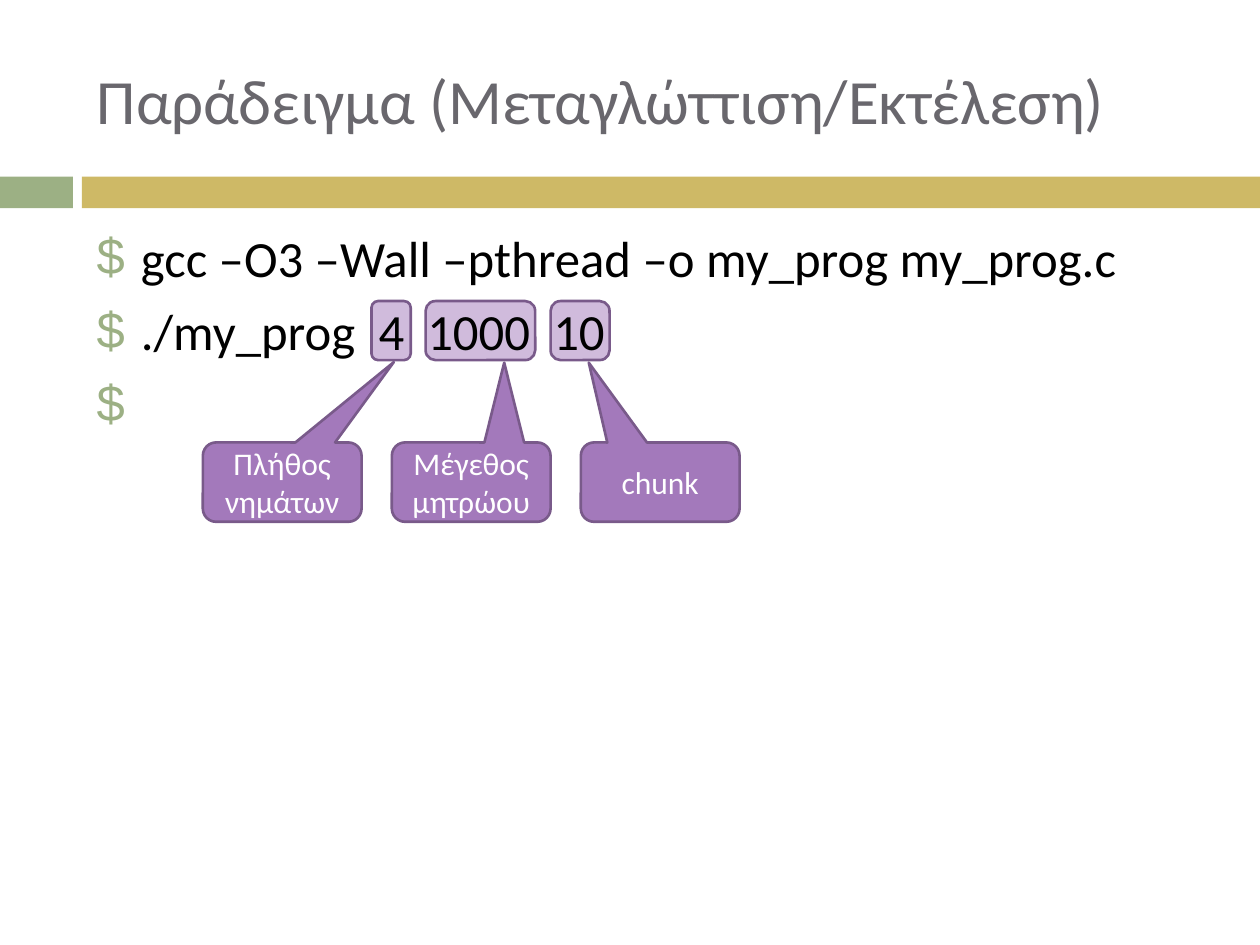
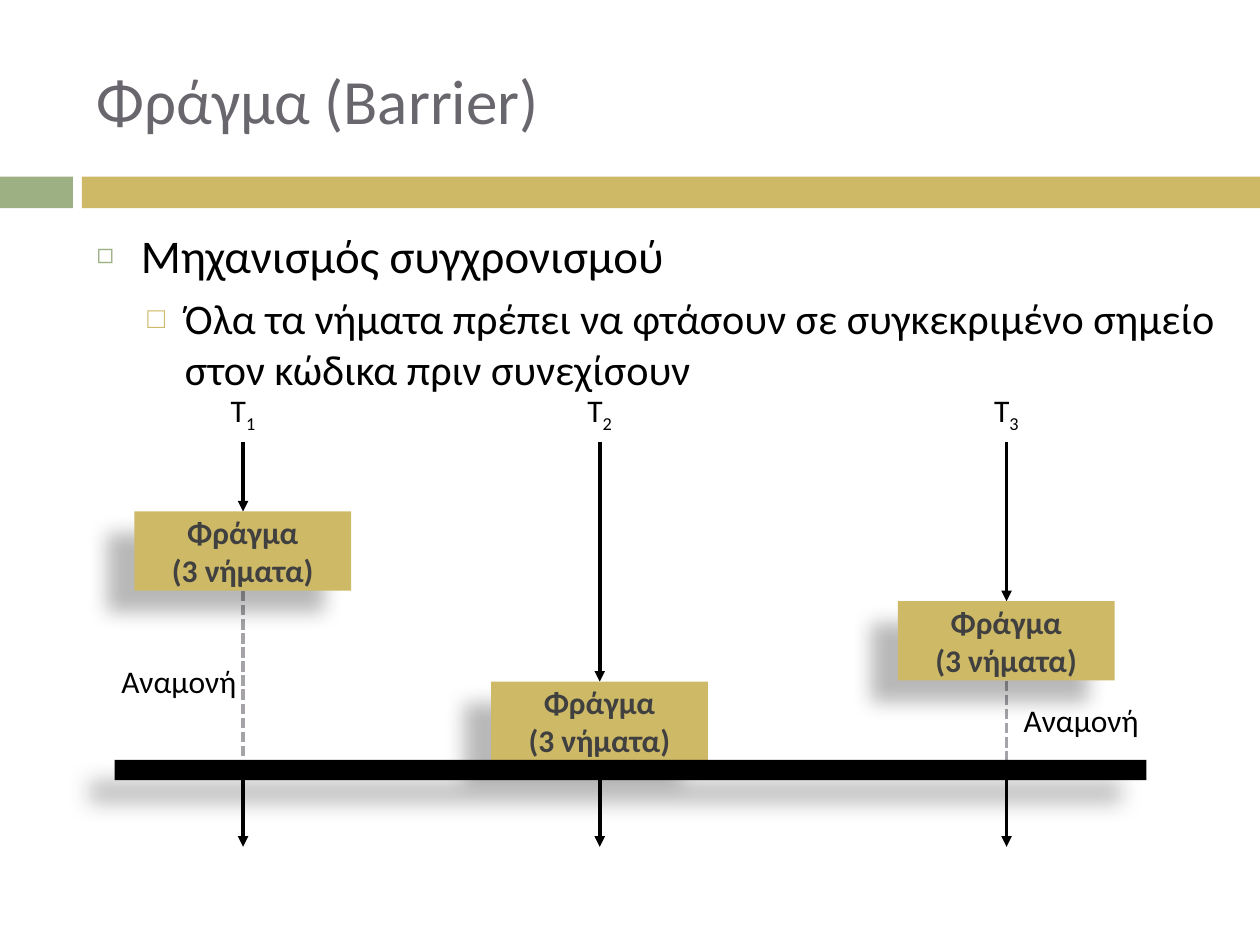
from pptx import Presentation
from pptx import util as u
from pptx.dml.color import RGBColor
from pptx.enum import dml, shapes, text
from pptx.oxml.ns import qn
from lxml import etree

Cm, Pt = u.Cm, u.Pt
SHAPE = shapes.MSO_SHAPE
GREEN = RGBColor(0x9C, 0xB0, 0x84)
GOLD = RGBColor(0xCE, 0xB9, 0x66)
PURPLE = RGBColor(0xA3, 0x79, 0xBB)
PLUM = RGBColor(0x79, 0x5A, 0x8A)
GREY = RGBColor(0x69, 0x67, 0x6D)
LIGHT = RGBColor(0xA5, 0xA3, 0xA8)
DARK = RGBColor(0x40, 0x40, 0x40)
BLACK = RGBColor(0, 0, 0)
WHITE = RGBColor(0xFF, 0xFF, 0xFF)
FONT = "Calibri"


def box(s, kind, x, y, w, h, fill, edge=None, alpha=None, shadow=False):
    sp = s.shapes.add_shape(kind, Cm(x), Cm(y), Cm(w), Cm(h))
    sp.shadow.inherit = False
    sp.fill.solid()
    sp.fill.fore_color.rgb = fill
    if edge is None:
        sp.line.fill.background()
    else:
        sp.line.color.rgb = edge
        sp.line.width = Pt(1.5)
    spPr = sp.element.spPr
    if alpha:
        clr = spPr.find(qn("a:solidFill")).find(qn("a:srgbClr"))
        etree.SubElement(clr, qn("a:alpha"), val=str(alpha * 1000))
    if shadow:
        shd = etree.SubElement(spPr.find(qn("a:effectLst")), qn("a:outerShdw"),
                               blurRad=str(Pt(11.8)), dist=str(Pt(19.7)),
                               dir=str(141 * 60000), rotWithShape="0")
        clr = etree.SubElement(shd, qn("a:srgbClr"), val=str(BLACK))
        etree.SubElement(clr, qn("a:alpha"), val="28000")
    return sp


def line(s, x1, y1, x2, y2, color, arrow=True):
    cn = s.shapes.add_connector(shapes.MSO_CONNECTOR.STRAIGHT,
                                Cm(x1), Cm(y1), Cm(x2), Cm(y2))
    cn.line.color.rgb = color
    cn.line.width = Pt(2)
    if arrow:
        etree.SubElement(cn.line._get_or_add_ln(), qn("a:tailEnd"), type="triangle")
    else:
        cn.line.dash_style = dml.MSO_LINE.SQUARE_DOT
    etree.SubElement(cn.element.spPr, qn("a:effectLst"))


prs = Presentation()
prs.slide_width, prs.slide_height = Cm(25.4), Cm(19.05)
layout = prs.slide_layouts[5]
s1, s2 = [prs.slides.add_slide(layout) for _ in range(2)]

for x, w, color in [(0, 1.47, GREEN), (1.65, 23.75, GOLD)]:
    band = box(s1, SHAPE.RECTANGLE, x, 3.56, w, 0.64, color)
    layout.shapes.element.append(band.element)

for s, title in [(s1, "Παράδειγμα (Μεταγλώττιση/Εκτέλεση)"), (s2, "Φράγμα (Barrier)")]:
    sp = s.shapes.title
    sp.left, sp.top, sp.width, sp.height = Cm(1.7), Cm(0.64), Cm(22.66), Cm(2.74)
    tf = sp.text_frame
    tf.text = title
    tf.auto_size = text.MSO_AUTO_SIZE.NONE
    tf.vertical_anchor = text.MSO_ANCHOR.MIDDLE
    p = tf.paragraphs[0]
    p.alignment = text.PP_ALIGN.LEFT
    f = p.runs[0].font
    f.name, f.size, f.color.rgb = FONT, Pt(36), GREY

centred = []

arguments = [
    ("Πλήθος νημάτων", 7.49, 0.79, 0.703, -1.512),
    ("Μέγεθος μητρώου", 8.58, 2.21, 0.208, -1.505),
    ("chunk", 11.1, 1.19, -0.45, -1.505),
]
for i, (label, x, w, tip_x, tip_y) in enumerate(arguments):
    box(s1, SHAPE.ROUNDED_RECTANGLE, x, 6.07, w, 1.19, PURPLE, PLUM, alpha=50)
    sp = box(s1, SHAPE.ROUNDED_RECTANGULAR_CALLOUT, 4.09 + 3.81 * i, 8.92, 3.2, 1.6,
             PURPLE, PLUM)
    sp.adjustments[0], sp.adjustments[1] = tip_x, tip_y
    centred.append((sp, label, WHITE, False))

prompt = (0.89, 0.89, 7, "$", GREEN, 100, 29)
bodies = [
    (s1, 14.6, [
        (["gcc –O3 –Wall –pthread –o my_prog my_prog.c"], *prompt),
        (["./my_prog", "4", "1000", "10"], *prompt),
        ([" "], *prompt),
    ]),
    (s2, 3.48, [
        (["Μηχανισμός συγχρονισμού"], 0.89, 0.89, 7, "◻", GREEN, 60, 26.8),
        (["Όλα τα νήματα πρέπει να φτάσουν σε συγκεκριμένο σημείο "
          "στον κώδικα πριν συνεχίσουν"], 1.78, 0.76, 5.5, "□", GOLD, 70, 24.1),
    ]),
]
for s, height, items in bodies:
    tf = s.shapes.add_textbox(Cm(1.7), Cm(4.45), Cm(23.7), Cm(height)).text_frame
    tf.word_wrap = True
    for i, (parts, margin, hang, before, mark, color, scale, size) in enumerate(items):
        p = tf.add_paragraph() if i else tf.paragraphs[0]
        p.space_before = Pt(before)
        pPr = p._p.get_or_add_pPr()
        pPr.set("marL", str(Cm(margin)))
        pPr.set("indent", str(-Cm(hang)))
        clr = etree.SubElement(pPr, qn("a:buClr"))
        etree.SubElement(clr, qn("a:srgbClr"), val=str(color))
        etree.SubElement(pPr, qn("a:buSzPct"), val=str(scale * 1000))
        etree.SubElement(pPr, qn("a:buFont"), typeface="Arial")
        etree.SubElement(pPr, qn("a:buChar"), char=mark)
        for j, part in enumerate(parts):
            if j:
                r = p.add_run()
                r.text = " "
                r._r.get_or_add_rPr().set("spc", "655")
            p.add_run().text = part
        for r in p.runs:
            f = r.font
            f.name, f.size, f.color.rgb = FONT, Pt(size), BLACK

barrier_y = 15.32
threads = [(4.9, 10.31), (12.09, 13.74), (20.29, 12.12)]
for i, (x, y) in enumerate(threads, 1):
    if y + 1.6 < barrier_y:
        line(s2, x, y + 1.6, x, barrier_y, LIGHT, arrow=False)
    line(s2, x, 8.92, x, y, BLACK)
    sp = box(s2, SHAPE.RECTANGLE, x - 2.19, y, 4.37, 1.6, GOLD, shadow=True)
    centred.append((sp, "Φράγμα\v(3 νήματα)", DARK, True))
box(s2, SHAPE.RECTANGLE, 2.31, barrier_y, 20.8, 0.41, BLACK, shadow=True)

labels = [(x - 0.8, 7.92, 1.6, f"T{i}") for i, (x, y) in enumerate(threads, 1)]
labels += [(2.31, 13.34, 2.59, "Αναμονή"), (20.5, 14.12, 2.59, "Αναμονή")]
for x, y, w, label in labels:
    sp = s2.shapes.add_textbox(Cm(x), Cm(y), Cm(w), Cm(0.79))
    tf = sp.text_frame
    tf.margin_left = tf.margin_right = tf.margin_top = tf.margin_bottom = 0
    centred.append((sp, label, BLACK, False))
for x, y in threads:
    line(s2, x, 15.67, x, 17.07, BLACK)

for sp, label, color, bold in centred:
    tf = sp.text_frame
    tf.word_wrap = True
    tf.vertical_anchor = text.MSO_ANCHOR.MIDDLE
    p = tf.paragraphs[0]
    p.alignment = text.PP_ALIGN.CENTER
    if label[0] == "T":
        p.text = "T"
        r = p.add_run()
        r.text = label[1:]
        r._r.get_or_add_rPr().set("baseline", "-25000")
    else:
        p.text = label
    for r in p.runs:
        f = r.font
        f.name, f.size, f.bold, f.color.rgb = FONT, Pt(18), bold, color

prs.save("out.pptx")
